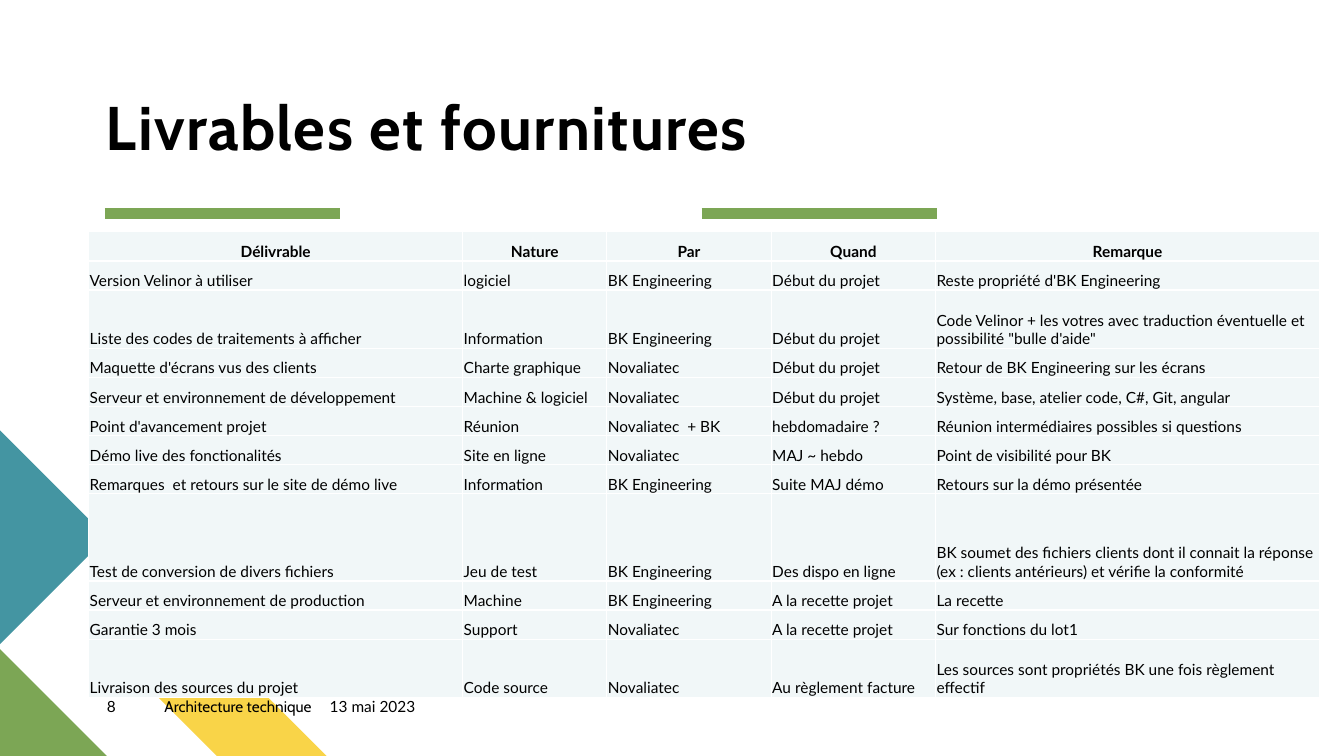
"""Build the deliverables and supplies slide."""
from itertools import accumulate

from lxml.etree import SubElement
from pptx import Presentation
from pptx.dml.color import RGBColor
from pptx.enum.shapes import MSO_CONNECTOR as Connector
from pptx.enum.text import MSO_ANCHOR as Anchor, MSO_AUTO_SIZE as AutoSize, PP_ALIGN as Align
from pptx.oxml.ns import qn
from pptx.util import Inches, Pt

WIDTH, HEIGHT = Inches(13.33), Inches(7.5)
BLACK, WHITE, PALE = "000000", "FFFFFF", "F1F7F8"
GREEN, TEAL, YELLOW = "7CA655", "4495A2", "F9D448"

CORNERS = [
    (YELLOW, [(24.3, 100), (16.13, 100), (7.95, 85.47), (12.08, 78.27)]),
    (GREEN, [(0, 85.87), (7.95, 100), (0, 100)]),
    (TEAL, [(0, 56.93), (7.95, 71.07), (0, 85.2)]),
]
RULES = [7.8, 52.2]
RULE_LENGTH, RULE_TOP = 17.5, 28.27

FOOTER = [("8", 4.28, "Lato"), ("Architecture technique", 12.3, "Cabin"), ("13 mai 2023", 10.8, "Lato")]

COLUMNS = [27.83, 10.73, 12.23, 12.23, 28.58]
ROW = 3.85
ROW_SPANS = [1, 1, 2, 1, 1, 1, 1, 1, 3, 1, 1, 2]
CLIENT, SUPPLIER = "BK Engineering", "Novaliatec"
START, ACCEPTANCE = "Début du projet", "A la recette projet"
DELIVERABLES = [
    ("Délivrable", "Nature", "Par", "Quand", "Remarque"),
    ("Version Velinor à utiliser", "logiciel", CLIENT, START, "Reste propriété d'BK Engineering"),
    ("Liste des codes de traitements à afficher", "Information", CLIENT, START,
     "Code Velinor + les votres avec traduction éventuelle et possibilité \"bulle d'aide\""),
    ("Maquette d'écrans vus des clients", "Charte graphique", SUPPLIER, START,
     "Retour de BK Engineering sur les écrans"),
    ("Serveur et environnement de développement", "Machine & logiciel", SUPPLIER, START,
     "Système, base, atelier code, C#, Git, angular"),
    ("Point d'avancement projet", "Réunion", "Novaliatec  + BK", "hebdomadaire ?",
     "Réunion intermédiaires possibles si questions"),
    ("Démo live des fonctionalités", "Site en ligne", SUPPLIER, "MAJ ~ hebdo", "Point de visibilité pour BK"),
    ("Remarques  et retours sur le site de démo live", "Information", CLIENT, "Suite MAJ démo",
     "Retours sur la démo présentée"),
    ("Test de conversion de divers fichiers", "Jeu de test", CLIENT, "Des dispo en ligne",
     "BK soumet des fichiers clients dont il connait la réponse (ex : clients antérieurs) et vérifie la conformité"),
    ("Serveur et environnement de production", "Machine", CLIENT, ACCEPTANCE, "La recette"),
    ("Garantie 3 mois", "Support", SUPPLIER, ACCEPTANCE, "Sur fonctions du lot1"),
    ("Livraison des sources du projet", "Code source", SUPPLIER, "Au règlement facture",
     "Les sources sont propriétés BK une fois règlement effectif"),
]


def across(percent):
    """Return a percentage of the slide width as a length."""
    return round(WIDTH * percent / 100)


def down(percent):
    """Return a percentage of the slide height as a length."""
    return round(HEIGHT * percent / 100)


def colour(value):
    """Return the colour for a hex string."""
    return RGBColor.from_string(value)


def write(frame, text, size=11, font="Lato", bold=False, align=Align.LEFT, line_spacing=None, tracking=None):
    """Put one formatted paragraph in a text frame."""
    frame.word_wrap = True
    para = frame.paragraphs[0]
    para.alignment = align
    para.line_spacing = line_spacing
    span = para.add_run()
    span.text = text
    span.font.size, span.font.name, span.font.bold = Pt(size), font, bold
    span.font.color.rgb = colour(BLACK)
    if tracking:
        span.font._element.set("spc", str(tracking * 100))


def clear_margins(frame):
    """Remove the inner margins of a text frame."""
    frame.margin_left = frame.margin_right = frame.margin_top = frame.margin_bottom = 0


def add_corner(page, fill, points):
    """Draw a filled polygon through the given grid points."""
    corners = [(across(x), down(y)) for x, y in points]
    builder = page.shapes.build_freeform(*corners[0])
    builder.add_line_segments(corners[1:], close=True)
    shape = builder.convert_to_shape()
    shape.shadow.inherit = False
    shape.fill.solid()
    shape.fill.fore_color.rgb = colour(fill)
    shape.line.fill.background()


def add_rule(page, left):
    """Draw one thick green rule under the title."""
    rule = page.shapes.add_connector(
        Connector.STRAIGHT, across(left), down(RULE_TOP), across(left + RULE_LENGTH), down(RULE_TOP))
    rule.line.color.rgb = colour(GREEN)
    rule.line.width = Pt(8)
    SubElement(rule._element.spPr, qn("a:effectLst"))


def add_title(page, text):
    """Move, format and fill the title placeholder."""
    title = page.shapes.title
    title.left, title.top = across(7.88), down(12.8)
    title.width, title.height = across(56.03), down(8.93)
    frame = title.text_frame
    frame.auto_size, frame.vertical_anchor = AutoSize.NONE, Anchor.BOTTOM
    clear_margins(frame)
    write(frame, text, size=44, font="Cabin", bold=True, line_spacing=0.9, tracking=1)


def add_footer(page):
    """Set the footer entries side by side."""
    lefts = accumulate((width for _, width, _ in FOOTER), initial=7.95)
    for left, (text, width, font) in zip(lefts, FOOTER):
        box = page.shapes.add_textbox(across(left), down(92.27), across(width), down(3.6))
        clear_margins(box.text_frame)
        write(box.text_frame, text, font=font)


def add_borders(cell):
    """Give a cell thin white borders on all sides."""
    properties = cell._tc.get_or_add_tcPr()
    for side in ("a:lnL", "a:lnR", "a:lnT", "a:lnB"):
        line = SubElement(properties, qn(side), w=str(Pt(1)))
        fill = SubElement(line, qn("a:solidFill"))
        SubElement(fill, qn("a:srgbClr"), val=WHITE)


def format_cell(cell, text, heading):
    """Fill, border and write one table cell."""
    add_borders(cell)
    cell.fill.solid()
    cell.fill.fore_color.rgb = colour(PALE)
    cell.margin_left = cell.margin_right = cell.margin_top = Inches(0.01)
    cell.margin_bottom = 0
    cell.vertical_anchor = Anchor.BOTTOM
    write(cell.text_frame, text, bold=heading, align=Align.CENTER if heading else Align.LEFT)


def add_deliverables(page):
    """Build the table of deliverables."""
    table = page.shapes.add_table(
        len(DELIVERABLES), len(COLUMNS), across(6.6), down(30.67),
        across(sum(COLUMNS)), down(ROW * sum(ROW_SPANS))).table
    table.horz_banding = False
    for column, width in zip(table.columns, COLUMNS):
        column.width = across(width)
    for index, (row, span, texts) in enumerate(zip(table.rows, ROW_SPANS, DELIVERABLES)):
        row.height = down(ROW * span)
        for cell, text in zip(row.cells, texts):
            format_cell(cell, text, heading=index == 0)


def main():
    """Assemble and save the slide."""
    deck = Presentation()
    deck.slide_width, deck.slide_height = WIDTH, HEIGHT
    page = deck.slides.add_slide(deck.slide_layouts[5])
    for fill, points in CORNERS:
        add_corner(page, fill, points)
    for left in RULES:
        add_rule(page, left)
    add_title(page, "Livrables et fournitures")
    add_footer(page)
    add_deliverables(page)
    deck.save("out.pptx")


if __name__ == "__main__":
    main()
